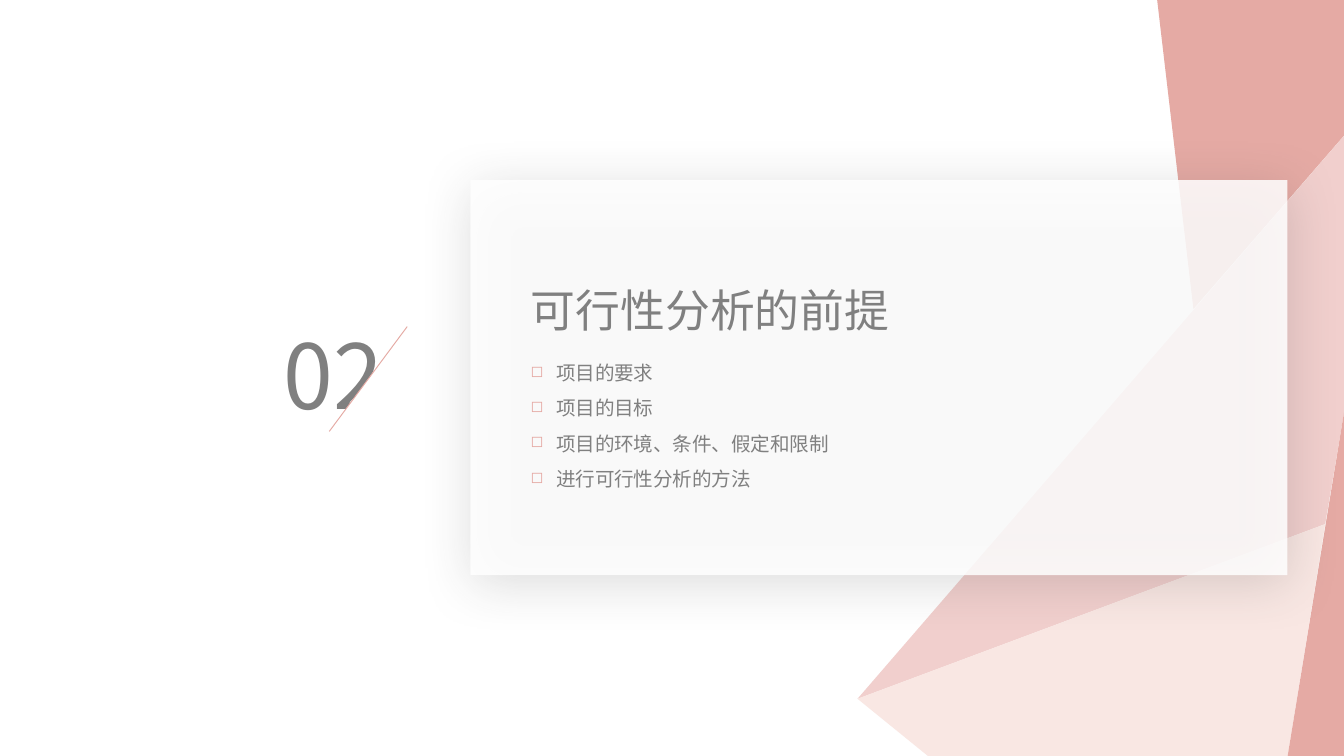
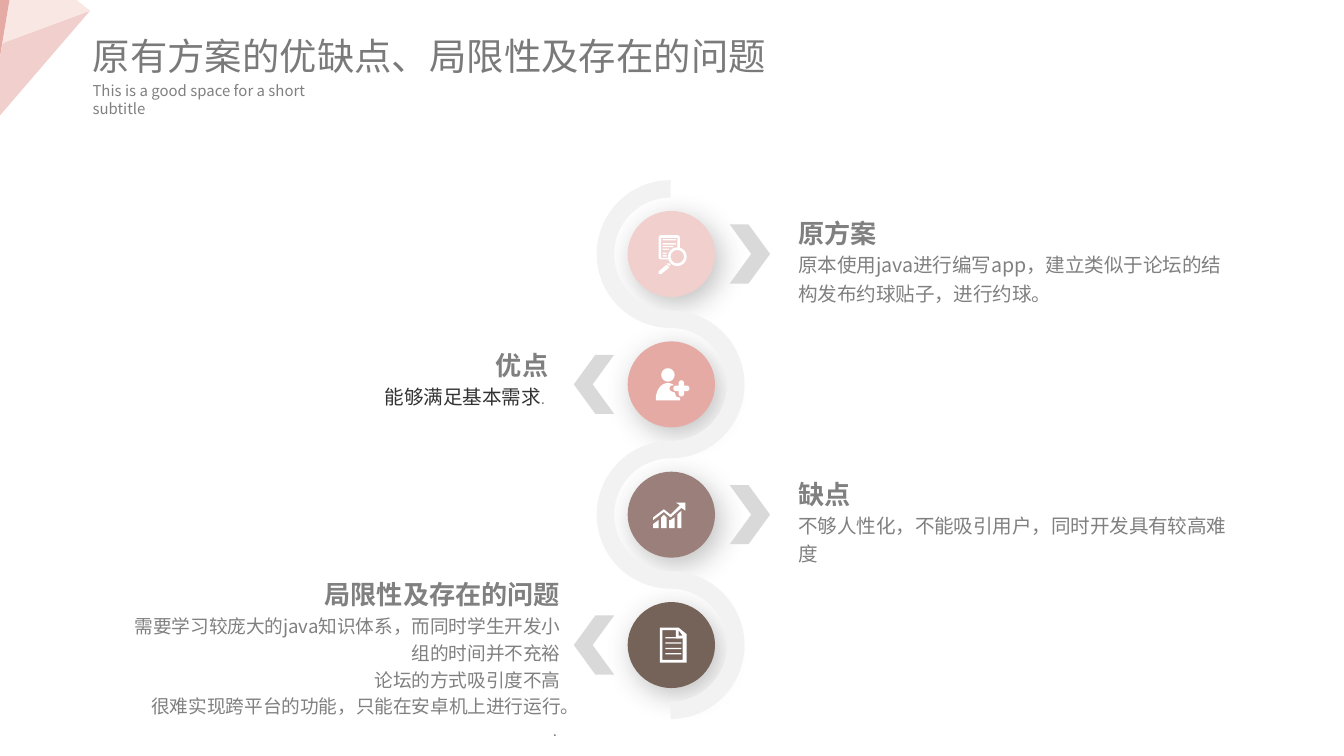
"""Builds a section cover and a four-step comparison slide."""
from math import cos, radians, sin

from lxml import etree
from pptx import Presentation
from pptx.dml.color import RGBColor
from pptx.enum.shapes import MSO_CONNECTOR, MSO_SHAPE
from pptx.enum.text import MSO_ANCHOR, MSO_AUTO_SIZE, PP_ALIGN
from pptx.oxml.ns import qn
from pptx.util import Inches, Pt

RECT, OVAL, TRIANGLE = MSO_SHAPE.RECTANGLE, MSO_SHAPE.OVAL, MSO_SHAPE.RIGHT_TRIANGLE
STRAIGHT = MSO_CONNECTOR.STRAIGHT
LEFT, RIGHT = PP_ALIGN.LEFT, PP_ALIGN.RIGHT
TOP, NO_FIT = MSO_ANCHOR.TOP, MSO_AUTO_SIZE.NONE

WHITE = RGBColor(0xFF, 0xFF, 0xFF)
ROSE = RGBColor(0xE5, 0xAA, 0xA4)
PINK = RGBColor(0xF1, 0xCF, 0xCD)
BLUSH = RGBColor(0xF9, 0xE7, 0xE3)
MAUVE = RGBColor(0x9B, 0x7F, 0x7B)
BROWN = RGBColor(0x75, 0x63, 0x59)
GREY = RGBColor(0x80, 0x80, 0x80)
TITLE_GREY = RGBColor(0x7A, 0x7A, 0x7A)
DARK = RGBColor(0x33, 0x33, 0x33)
PALE = RGBColor(0xF2, 0xF2, 0xF2)
SILVER = RGBColor(0xD9, 0xD9, 0xD9)
FONT = "Noto Sans CJK SC"

COVER_FACETS = [
    (ROSE, [(8.88, 2.3), (8.61, 0), (10, 0), (10, 1.01)]),
    (PINK, [(6.38, 5.2), (9.86, 3.9), (10, 3.07), (10, 1.01)]),
    (BLUSH, [(6.38, 5.2), (6.91, 5.63), (9.58, 5.63), (9.86, 3.9)]),
    (ROSE, [(9.58, 5.63), (10, 5.63), (10, 3.07)]),
]
CORNER_FACETS = [
    (PINK, [(0.67, 0.08), (0.02, 0.32), (-0.01, 0.48), (-0.01, 0.87)]),
    (BLUSH, [(0.67, 0.08), (0.57, 0), (0.07, 0), (0.02, 0.32)]),
    (ROSE, [(0.07, 0), (-0.01, 0), (-0.01, 0.48)]),
]
AGENDA = ["项目的要求", "项目的目标", "项目的环境、条件、假定和限制", "进行可行性分析的方法"]

STEPS = [
    (PINK, (5.94, 1.57, 3.23, 0.71), "原方案",
     [[("原本使用java进行编写app，建立类似于论坛的结构发布约球贴子，进行约球。", {})]]),
    (ROSE, (0.85, 2.55, 3.23, 0.49), "优点",
     [[("能够满足基本需求", {"font": "Calibri", "color": DARK}), (". ", {"size": 8})]]),
    (MAUVE, (5.94, 3.51, 3.23, 0.71), "缺点",
     [[("不够人性化，不能吸引用户，同时开发具有较高难度", {})]]),
    (BROWN, (0.94, 4.26, 3.23, 1.25), "局限性及存在的问题",
     [[("需要学习较庞大的java知识体系，而同时学生开发小组的时间并不充裕", {"size": 10})],
      [("论坛的方式吸引度不高", {"size": 10})],
      [("很难实现跨平台的功能，只能在安卓机上进行运行。", {"size": 10, "indent": 0.12})],
      [(". ", {"size": 8})]]),
]
AXIS, FIRST_Y, STEP_Y = 4.99, 1.89, 0.97
OUTER, INNER = 0.55, 0.42
CHEVRON = [(0.43, -0.22), (0.59, 0), (0.43, 0.22), (0.57, 0.22), (0.73, 0), (0.57, -0.22)]


def arc(cx, cy, rx, start, end, ry=None, n=16):
    """Return points along an elliptical arc; degrees run clockwise from the right."""
    angles = [radians(start + (end - start) * i / n) for i in range(n + 1)]
    return [(cx + rx * cos(a), cy + (ry or rx) * sin(a)) for a in angles]


def bar(x, y, w, h):
    """Return the corners of an upright rectangle."""
    return [(x, y), (x + w, y), (x + w, y + h), (x, y + h)]


def plus(cx, cy, reach, half):
    """Return a plus sign with round arm ends."""
    points = []
    for turn in (0, 90, 180, 270):
        a = radians(turn)
        points += arc(cx + reach * cos(a), cy + reach * sin(a), half, turn - 90, turn + 90)
        points += arc(cx, cy, half * 1.41, turn + 45, turn + 45, n=1)
    return points


SEARCH_ICON = [
    [bar(4.93, 1.78, 0.1, 0.01), bar(4.93, 1.81, 0.1, 0.01), bar(4.93, 1.83, 0.08, 0.01),
     bar(4.93, 1.85, 0.05, 0.01), bar(4.93, 1.88, 0.03, 0.01), bar(4.93, 1.9, 0.03, 0.01)],
    [arc(5.04, 1.91, 0.07, 0, 360), arc(5.04, 1.91, 0.05, 0, 360)],
    [[(4.96, 1.96), (4.98, 1.96), (4.99, 1.97), (4.98, 1.98)],
     [(4.96, 1.97), (4.9, 2.02), (4.9, 2.04), (4.92, 2.04), (4.98, 1.99)]],
    [[(4.98, 1.93)] + arc(4.92, 1.91, 0.02, 90, 180) + arc(4.92, 1.77, 0.02, 180, 270)
     + arc(5.04, 1.77, 0.02, 270, 360) + [(5.06, 1.85), (5.04, 1.85), (5.04, 1.77),
                                          (4.92, 1.77), (4.92, 1.92), (4.98, 1.92)]],
]
PERSON_ICON = [
    [plus(5.07, 2.89, 0.04, 0.02)],
    [arc(4.97, 2.79, 0.05, 0, 360),
     [(5.06, 2.98), (4.88, 2.98)] + arc(4.97, 2.97, 0.09, 180, 300, ry=0.12)
     + [(4.99, 2.87), (4.98, 2.89), (4.99, 2.91), (5.02, 2.92), (5.03, 2.95), (5.06, 2.96)]],
]
CHART_ICON = [
    [[(4.92, 3.85), (4.92, 3.93), (4.96, 3.93), (4.96, 3.85), (4.94, 3.83)],
     [(4.86, 3.93), (4.9, 3.93), (4.9, 3.87), (4.86, 3.9)],
     [(5.04, 3.83), (5.04, 3.93), (5.07, 3.93), (5.07, 3.8)],
     [(4.98, 3.87), (4.98, 3.93), (5.02, 3.93), (5.02, 3.85), (4.99, 3.87)]],
    [[(5.1, 3.74), (5.03, 3.74), (5.06, 3.76), (4.99, 3.83), (4.94, 3.79), (4.86, 3.85),
      (4.86, 3.87), (4.94, 3.81), (4.99, 3.85), (5.07, 3.78), (5.1, 3.8)]],
]
PAGE_ICON = [
    [[(5.11, 4.72), (5.05, 4.67), (4.91, 4.67), (4.91, 4.93), (5.11, 4.93)],
     [(5.08, 4.73), (5.05, 4.73), (5.05, 4.69)],
     [(5.08, 4.91), (4.93, 4.91), (4.93, 4.69), (5.03, 4.69), (5.03, 4.75), (5.08, 4.75)]],
]


def sub(parent, tag, **attrs):
    """Append a drawing element with the given attributes."""
    el = etree.SubElement(parent, qn(tag))
    for key, value in attrs.items():
        el.set(key, str(value))
    return el


def paint(sp, color, shadow=None, alpha=None):
    """Fill a shape without outline; shadow is (opacity, blur, distance, angle)."""
    sp.shadow.inherit = False
    sp.fill.solid()
    sp.fill.fore_color.rgb = color
    sp.line.fill.background()
    spPr = sp.element.spPr
    if alpha:
        sub(spPr.find(".//" + qn("a:srgbClr")), "a:alpha", val=alpha * 1000)
    if shadow:
        opacity, blur, dist, angle = shadow
        outer = sub(spPr.find(qn("a:effectLst")), "a:outerShdw", blurRad=Pt(blur),
                    dist=Pt(dist), dir=angle * 60000, algn="ctr", rotWithShape=0)
        sub(sub(outer, "a:srgbClr", val=DARK), "a:alpha", val=opacity * 1000)
    return sp


def add_preset(s, kind, box, color, **look):
    """Add a filled preset shape."""
    return paint(s.shapes.add_shape(kind, *map(Inches, box)), color, **look)


def add_outline(s, color, *contours):
    """Add one filled freeform made of closed contours."""
    builder = None
    for contour in contours:
        start, *rest = [(Inches(x), Inches(y)) for x, y in contour]
        if builder is None:
            builder = s.shapes.build_freeform(*start)
        else:
            builder.move_to(*start)
        builder.add_line_segments(rest, close=True)
    return paint(builder.convert_to_shape(), color)


def add_text(s, box, paras, sp=None, size=10.5, color=GREY, font=FONT, bold=False,
             align=LEFT, spacing=1.0, inset=None, wrap=True, bullet=None):
    """Write paragraphs of (text, format) runs into a new box or a given shape."""
    box = [Inches(v) for v in box]
    sp = sp or s.shapes.add_textbox(*box)
    sp.left, sp.top, sp.width, sp.height = box
    tf = sp.text_frame
    tf.word_wrap, tf.auto_size, tf.vertical_anchor = wrap, NO_FIT, TOP
    if inset is not None:
        tf.margin_left = tf.margin_right = tf.margin_top = tf.margin_bottom = Inches(inset)
    for i, runs in enumerate(paras):
        p = tf.paragraphs[0] if i == 0 else tf.add_paragraph()
        pPr = p._p.get_or_add_pPr()
        if bullet:
            pPr.set("marL", str(Inches(0.19)))
            pPr.set("indent", str(-Inches(0.19)))
            sub(sub(pPr, "a:buClr"), "a:srgbClr", val=ROSE)
            sub(pPr, "a:buSzPct", val=80000)
            sub(pPr, "a:buChar", char=bullet)
        p.alignment, p.line_spacing = align, spacing
        for text, fmt in runs:
            if "indent" in fmt:
                pPr.set("marL", str(Inches(fmt["indent"])))
            r = p.add_run()
            r.text = text
            r.font.size = Pt(fmt.get("size", size))
            r.font.bold = fmt.get("bold", bold)
            r.font.color.rgb = fmt.get("color", color)
            r.font.name = fmt.get("font", font)
            sub(r.font._element, "a:ea", typeface=FONT)
    return sp


def add_title(s, box, text, **fmt):
    """Place the title placeholder above the shapes drawn so far."""
    title = s.shapes.title
    s.shapes.element.append(title.element)
    add_text(s, box, [[(text, {})]], sp=title, wrap=False, **fmt)


def new_slide(prs):
    """Add a white title-only slide."""
    s = prs.slides.add_slide(prs.slide_layouts[5])
    s.background.fill.solid()
    s.background.fill.fore_color.rgb = WHITE
    return s


def build_cover(prs):
    """Build the section cover."""
    s = new_slide(prs)
    for color, points in COVER_FACETS:
        add_outline(s, color, points)
    add_preset(s, RECT, (3.5, 1.34, 6.08, 2.94), WHITE, shadow=(20, 29, 5, 77), alpha=85)
    add_text(s, (2.01, 2.33, 0.98, 0.91), [[("02", {})]], size=48)
    add_title(s, (3.85, 2.05, 2.89, 0.5), "可行性分析的前提", size=24)
    add_preset(s, TRIANGLE, (2.35, 2.53, 0.78, 0.58), WHITE).rotation = 270
    slash = s.shapes.add_connector(STRAIGHT, *map(Inches, (3.03, 2.43, 2.45, 3.21)))
    slash.line.color.rgb, slash.line.width = ROSE, Pt(0.5)
    sub(slash.element.spPr, "a:effectLst")
    add_text(s, (3.85, 2.55, 2.5, 1.16), [[(item, {})] for item in AGENDA],
             spacing=1.5, bullet="◻")


def build_steps(prs):
    """Build the winding path with four steps."""
    s = new_slide(prs)
    centres = [FIRST_Y + STEP_Y * i for i in range(len(STEPS))]
    for y, (color, *_) in zip(centres, STEPS):
        add_preset(s, OVAL, (AXIS - 0.32, y - 0.32, 0.65, 0.64), color,
                   shadow=(30, 15, 5, 55))
    near, far = [], []
    for i, y in enumerate(centres):
        start, left, right = (-90, INNER, OUTER) if i % 2 else (270, OUTER, INNER)
        near += arc(AXIS, y, left, start, 90, n=32)
        far += arc(AXIS, y, right, start, 90, n=32)
    add_outline(s, PALE, near + far[::-1])
    for i, y in enumerate(centres):
        side = -1 if i % 2 else 1
        add_outline(s, SILVER, [(5 + side * dx, y + dy) for dx, dy in CHEVRON])
    for icon in (PERSON_ICON, SEARCH_ICON, CHART_ICON, PAGE_ICON):
        for contours in icon:
            add_outline(s, WHITE, *contours)
    for i in range(4):
        add_preset(s, RECT, (4.95, 4.74 + 0.04 * i, 0.12, 0.01), WHITE)
    for i, (_, box, heading, body) in enumerate(STEPS):
        head = [(heading, {"size": 14, "bold": True})]
        add_text(s, box, [head] + body, align=RIGHT if i % 2 else LEFT, spacing=1.2, inset=0)
    for color, points in CORNER_FACETS:
        add_outline(s, color, points)
    add_title(s, (0.59, 0.2, 5.25, 0.44), "原有方案的优缺点、局限性及存在的问题",
              size=20, color=TITLE_GREY)
    add_text(s, (0.59, 0.56, 2.19, 0.24),
             [[("This is a good space for a short subtitle", {})]], size=8)


def main():
    """Build and save the presentation."""
    prs = Presentation()
    prs.slide_width = Inches(10)
    prs.slide_height = prs.slide_width * 9 // 16
    build_cover(prs)
    build_steps(prs)
    prs.save("out.pptx")


if __name__ == "__main__":
    main()
